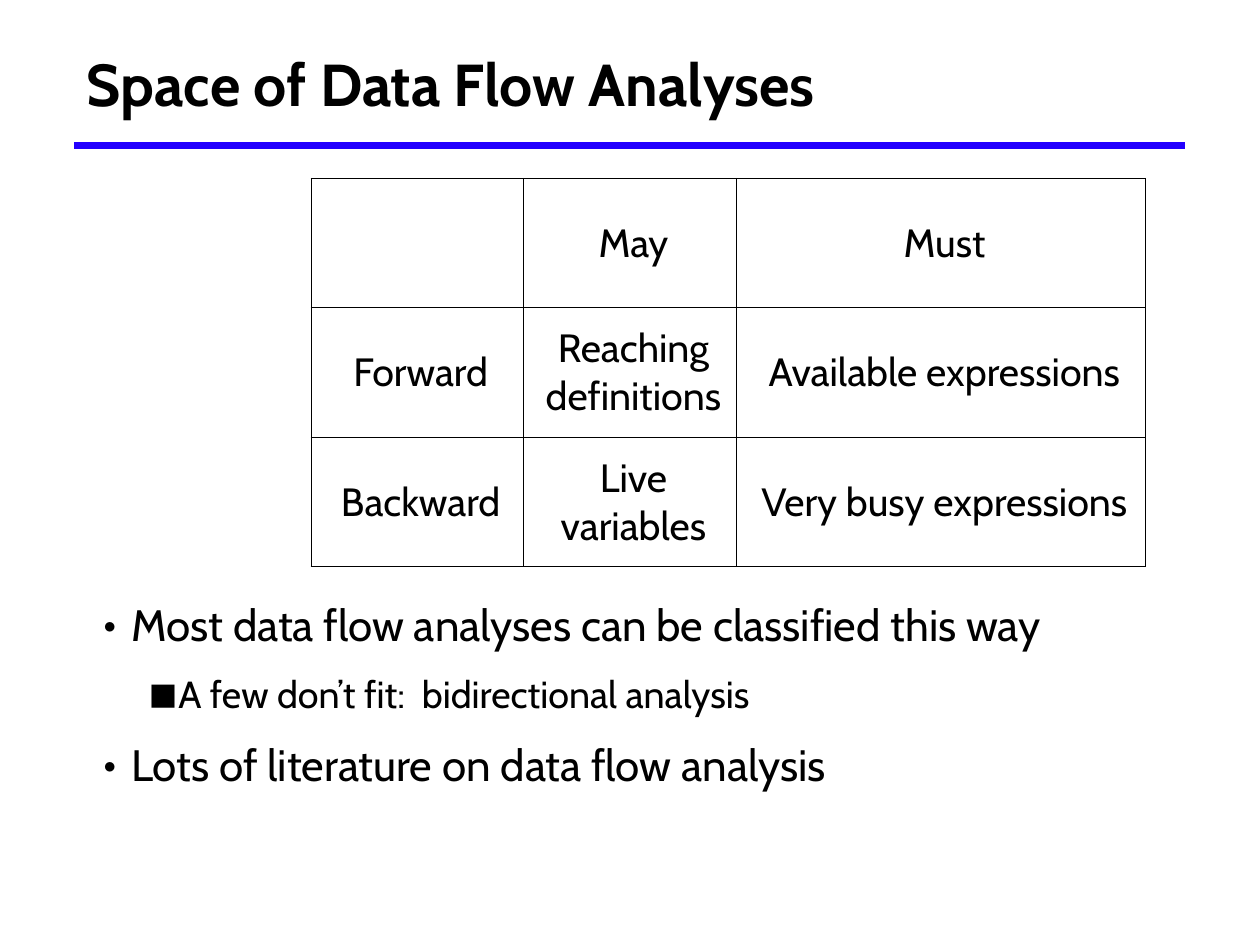
from lxml.etree import SubElement
from pptx import Presentation
from pptx.dml.color import RGBColor
from pptx.enum.shapes import MSO_CONNECTOR
from pptx.enum.text import MSO_ANCHOR, MSO_AUTO_SIZE, PP_ALIGN
from pptx.oxml.ns import qn
from pptx.util import Cm, Pt

BLACK = RGBColor(0x00, 0x00, 0x00)
BLUE = RGBColor(0x23, 0x00, 0xFF)
FONT = "Cabin"

ANALYSES = [
    ["", "May", "Must"],
    ["Forward", "Reaching definitions", "Available expressions"],
    ["Backward", "Live variables", "Very busy expressions"],
]
COLUMN_WIDTHS = [Cm(6.1), Cm(6.1), Cm(11.73)]
ROW_HEIGHT = Cm(3.71)

REMARKS = [
    (0, "Most data flow analyses can be classified this way"),
    (1, "A few don’t fit:  bidirectional analysis"),
    (0, "Lots of literature on data flow analysis"),
]
# Per level: bullet, bullet size in %, left margin, hanging indent, text size
LEVELS = [
    ("•", 100, Cm(1.52), Cm(-0.79), Pt(35.7)),
    ("■", 80, Cm(2.87), Cm(-0.84), Pt(30.6)),
]


def set_font(paragraph, size, bold=False):
    for run in paragraph.runs:
        run.font.name = FONT
        run.font.size = size
        run.font.bold = bold
        run.font.color.rgb = BLACK


def add_borders(cell):
    properties = cell._tc.get_or_add_tcPr()
    for side in ("a:lnL", "a:lnR", "a:lnT", "a:lnB"):
        border = SubElement(properties, qn(side), w=str(Pt(0.96)))
        fill = SubElement(border, qn("a:solidFill"))
        SubElement(fill, qn("a:srgbClr"), val=str(BLACK))


presentation = Presentation()
presentation.slide_width = Cm(36.12)
presentation.slide_height = Cm(27.08)
slide = presentation.slides.add_slide(presentation.slide_layouts[1])

# Title and its rule
title = slide.shapes.title
title.left, title.top, title.width, title.height = Cm(2.11), Cm(0.66), Cm(31.83), Cm(3.43)
heading = title.text_frame
heading.text = "Space of Data Flow Analyses"
heading.auto_size = MSO_AUTO_SIZE.NONE
heading.vertical_anchor = MSO_ANCHOR.MIDDLE
heading.margin_left, heading.margin_right = Cm(0.38), Cm(0.46)
heading.margin_top = heading.margin_bottom = 0
heading.paragraphs[0].alignment = PP_ALIGN.LEFT
set_font(heading.paragraphs[0], Pt(48), bold=True)

title_rule = slide.shapes.add_connector(
    MSO_CONNECTOR.STRAIGHT, Cm(2.13), Cm(4.17), Cm(33.96), Cm(4.17))
title_rule.line.color.rgb = BLUE
title_rule.line.width = Pt(5)
SubElement(title_rule._element.spPr, qn("a:effectLst"))

# Remarks
body = slide.placeholders[1]
body.left, body.top, body.width, body.height = Cm(2.11), Cm(17.12), Cm(32.46), Cm(7.26)
remarks = body.text_frame
remarks.text = "\n".join(text for _, text in REMARKS)
remarks.auto_size = MSO_AUTO_SIZE.NONE
remarks.margin_left = remarks.margin_right = Cm(0.13)
remarks.margin_top = remarks.margin_bottom = 0
for index, (level, _) in enumerate(REMARKS):
    remark = remarks.paragraphs[index]
    bullet, bullet_percent, margin, indent, size = LEVELS[level]
    remark.level = level
    properties = remark._p.get_or_add_pPr()
    properties.set("marL", str(margin))
    properties.set("indent", str(indent))
    bullet_color = SubElement(properties, qn("a:buClr"))
    SubElement(bullet_color, qn("a:srgbClr"), val=str(BLACK))
    SubElement(properties, qn("a:buSzPct"), val=str(bullet_percent * 1000))
    SubElement(properties, qn("a:buFont"), typeface=FONT)
    SubElement(properties, qn("a:buChar"), char=bullet)
    remark.space_before = Pt(17 if index else 0)
    set_font(remark, size)

# Table of analyses
table = slide.shapes.add_table(
    len(ANALYSES), len(COLUMN_WIDTHS), Cm(8.92), Cm(5.11),
    sum(COLUMN_WIDTHS), ROW_HEIGHT * len(ANALYSES)).table
table.first_row = table.horz_banding = False
for column, width in zip(table.columns, COLUMN_WIDTHS):
    column.width = width
for row, labels in zip(table.rows, ANALYSES):
    row.height = ROW_HEIGHT
    for cell, label in zip(row.cells, labels):
        add_borders(cell)
        cell.fill.background()
        cell.vertical_anchor = MSO_ANCHOR.MIDDLE
        cell.margin_left = cell.margin_right = Cm(0.1)
        cell.margin_top = cell.margin_bottom = Cm(0.13)
        cell.text_frame.text = label
        entry = cell.text_frame.paragraphs[0]
        entry.alignment = PP_ALIGN.CENTER
        entry._p.get_or_add_pPr().set("marL", str(Cm(0.18)))
        set_font(entry, Pt(32))

presentation.save("out.pptx")
